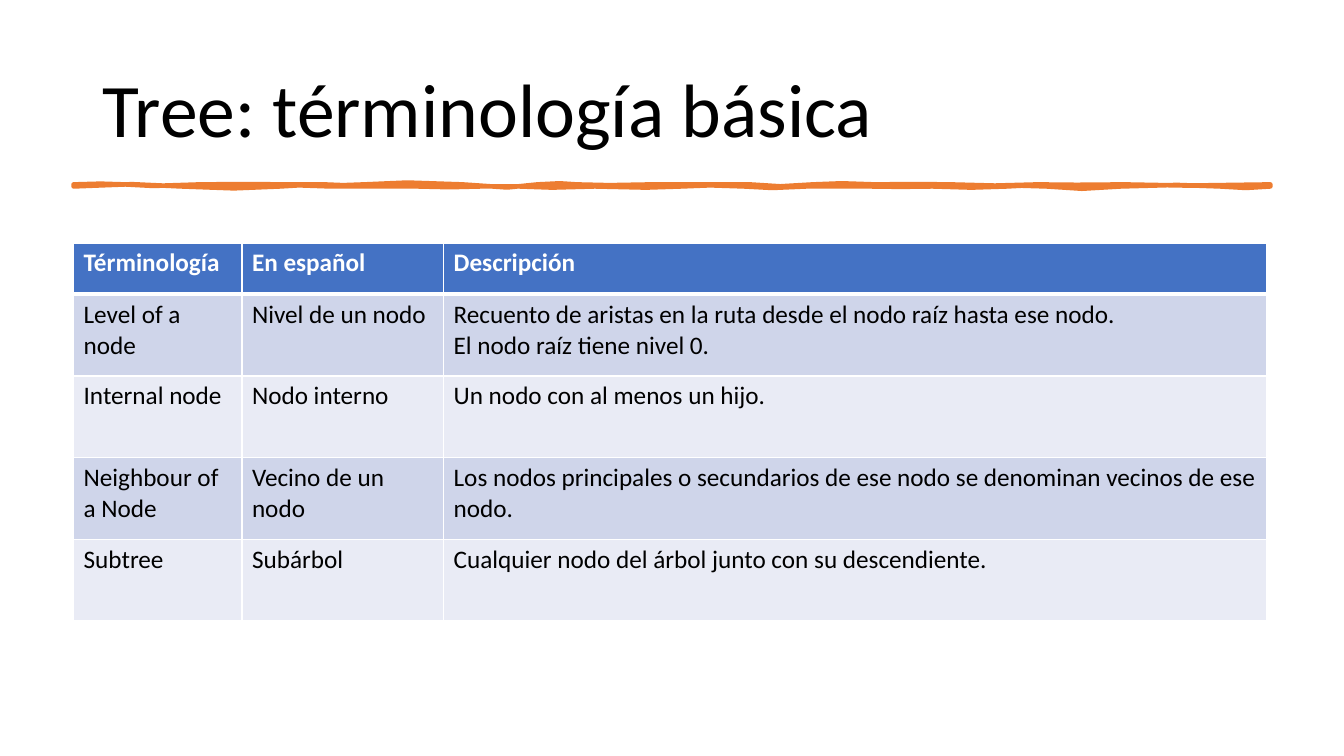
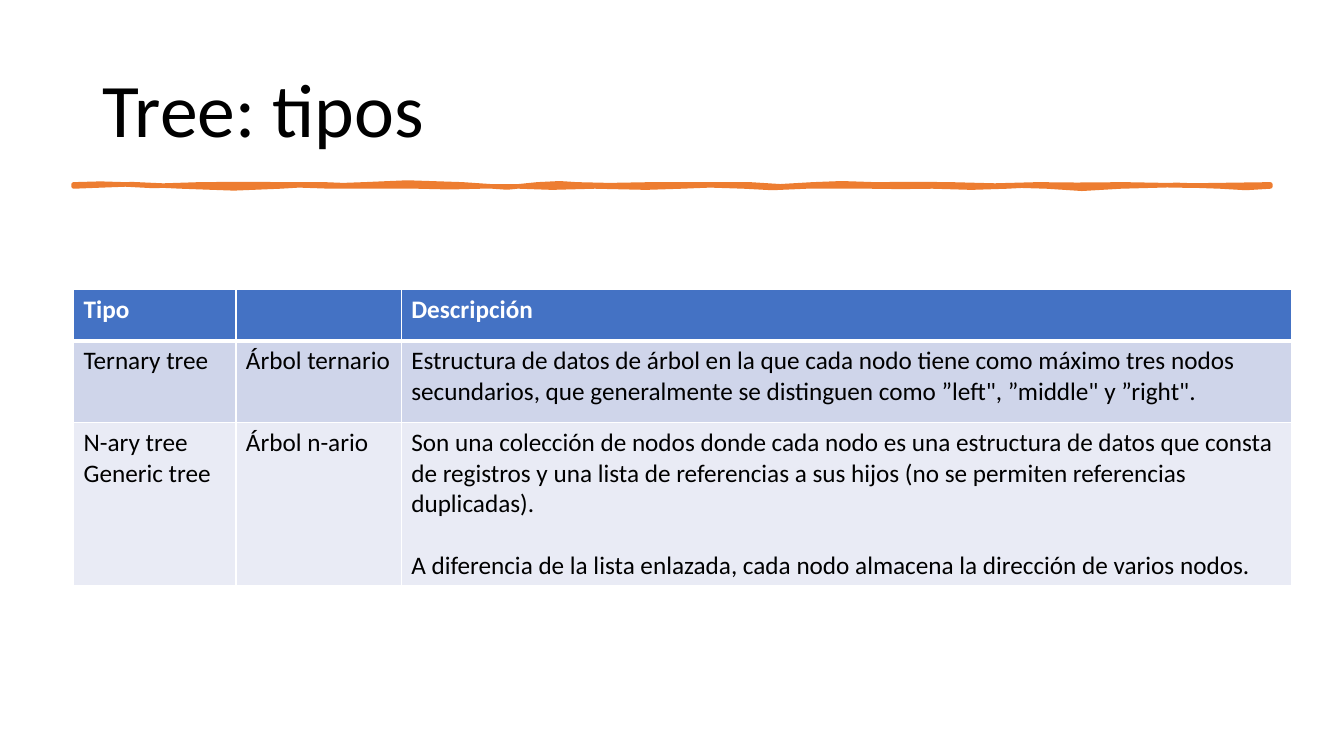
import pptx
import pptx.util
import pptx.dml.color
import pptx.enum.text
import pptx.oxml.ns
import lxml.etree

COLORS = {
    "title": "000000",
    "rule": "ED7D31",
    "header": "4472C4",
    "header_text": "FFFFFF",
    "body_text": "000000",
    "odd_row": "CFD5EA",
    "even_row": "E9EBF5",
    "border": "FFFFFF",
}
FONT = "Calibri"
TITLE_SIZE = 54
TABLE_SIZE = 18
PARAGRAPH_GAP = 22
MARGIN = 0.73
HEADER_HEIGHT = 0.51
ROW_HEIGHT = 0.81
THIN_BORDER = 1
HEADER_BORDER = 3

SLIDES = [
    {
        "title": "Tree: términología básica",
        "top": 2.41,
        "columns": [1.67, 2, 8.16],
        "row_units": [1, 1, 1, 1],
        "rows": [
            ["Términología", "En español", "Descripción"],
            ["Level of a node", "Nivel de un nodo",
             "Recuento de aristas en la ruta desde el nodo raíz hasta ese nodo.\n"
             "El nodo raíz tiene nivel 0."],
            ["Internal node", "Nodo interno", "Un nodo con al menos un hijo."],
            ["Neighbour of a Node", "Vecino de un nodo",
             "Los nodos principales o secundarios de ese nodo se denominan vecinos de ese nodo."],
            ["Subtree", "Subárbol", "Cualquier nodo del árbol junto con su descendiente."],
        ],
        "spaced": [],
    },
    {
        "title": "Tree: tipos",
        "top": 2.87,
        "columns": [1.61, 1.64, 8.83],
        "row_units": [1, 2],
        "rows": [
            ["Tipo", "", "Descripción"],
            ["Ternary tree", "Árbol ternario",
             "Estructura de datos de árbol en la que cada nodo tiene como máximo tres nodos "
             "secundarios, que generalmente se distinguen como ”left\", ”middle\" y ”right\"."],
            ["N-ary tree\nGeneric tree", "Árbol n-ario",
             "Son una colección de nodos donde cada nodo es una estructura de datos que consta "
             "de registros y una lista de referencias a sus hijos (no se permiten referencias "
             "duplicadas).\n"
             "A diferencia de la lista enlazada, cada nodo almacena la dirección de varios nodos."],
        ],
        "spaced": [(2, 2)],
    },
]

RULE_RIGHT = 12.6
UPPER_EDGE = 1.83
LOWER_EDGE = 1.85
UPPER_WAVES = [
    (0.89, 1.81, 1.11, 1.83, 1.24), (1.36, 1.84, 1.62, 1.86, 1.98),
    (2.34, 1.81, 2.51, 1.84, 2.84), (3.17, 1.83, 3.07, 1.83, 3.22),
    (3.38, 1.84, 3.42, 1.84, 3.61), (3.8, 1.82, 4.24, 1.79, 4.59),
    (4.94, 1.88, 5.17, 1.86, 5.33), (5.49, 1.81, 5.63, 1.82, 5.72),
    (5.81, 1.85, 6.25, 1.83, 6.46), (6.67, 1.84, 7.23, 1.82, 7.44),
    (7.65, 1.85, 7.82, 1.86, 8.06), (8.3, 1.81, 8.38, 1.82, 8.68),
    (8.99, 1.85, 9.14, 1.8, 9.43), (9.72, 1.87, 10.02, 1.82, 10.29),
    (10.55, 1.85, 10.78, 1.82, 11.15), (11.51, 1.85, 11.99, 1.84, RULE_RIGHT),
]
LOWER_WAVES = [
    (12.42, 1.87, 12.3, 1.87, 12.1), (11.9, 1.84, 11.49, 1.82, 11.12),
    (10.75, 1.89, 10.7, 1.87, 10.38), (10.05, 1.84, 10.18, 1.84, 9.99),
    (9.8, 1.87, 9.48, 1.86, 9.25), (9.02, 1.85, 8.84, 1.86, 8.63),
    (8.41, 1.85, 8.28, 1.85, 8), (7.73, 1.86, 7.57, 1.88, 7.38),
    (7.19, 1.83, 6.88, 1.84, 6.76), (6.63, 1.87, 6.24, 1.86, 5.9),
    (5.55, 1.85, 5.37, 1.88, 5.15), (4.94, 1.83, 4.91, 1.87, 4.77),
    (4.63, 1.84, 4.3, 1.88, 4.14), (3.99, 1.83, 3.71, 1.87, 3.28),
    (2.86, 1.83, 3.03, 1.84, 2.78), (2.53, 1.87, 2.13, 1.88, 1.8),
    (1.47, 1.82, 1.18, 1.82, MARGIN),
]


def inches(value):
    return pptx.util.Inches(value)


def color(name):
    return pptx.dml.color.RGBColor.from_string(COLORS[name])


def format_runs(para, size, color_name, bold=False):
    for run in para.runs:
        run.font.name = FONT
        run.font.size = pptx.util.Pt(size)
        run.font.bold = bold
        run.font.color.rgb = color(color_name)


def wave_points(left, edge, waves):
    points = [(left, edge)]
    for x1, y1, x2, y2, right in waves:
        middle = (left + 3 * x1 + 3 * x2 + right) / 8
        points += [(middle, (2 * edge + 3 * y1 + 3 * y2) / 8), (right, edge)]
        left = right
    return points


def add_title(page, title):
    box = page.shapes.add_textbox(inches(0.92), inches(0.4), inches(11.5), inches(1.45))
    frame = box.text_frame
    frame.word_wrap = True
    frame.vertical_anchor = pptx.enum.text.MSO_ANCHOR.MIDDLE
    frame.text = title
    para = frame.paragraphs[0]
    para.line_spacing = 0.9
    format_runs(para, TITLE_SIZE, "title")


def add_rule(page):
    outline = wave_points(MARGIN, UPPER_EDGE, UPPER_WAVES)
    outline += wave_points(RULE_RIGHT, LOWER_EDGE, LOWER_WAVES)
    corners = [(inches(x), inches(y)) for x, y in outline]
    builder = page.shapes.build_freeform(*corners[0], scale=1.0)
    builder.add_line_segments(corners[1:], close=True)
    rule = builder.convert_to_shape()
    rule.shadow.inherit = False
    rule.fill.solid()
    rule.fill.fore_color.rgb = color("rule")
    rule.line.color.rgb = color("rule")
    rule.line.width = pptx.util.Pt(3.25)
    line = rule.element.spPr.find(pptx.oxml.ns.qn("a:ln"))
    lxml.etree.SubElement(line, pptx.oxml.ns.qn("a:round"))


def add_borders(frame):
    qn = pptx.oxml.ns.qn
    for row_index, row in enumerate(frame.element.iter(qn("a:tr"))):
        widths = {
            "a:lnL": THIN_BORDER,
            "a:lnR": THIN_BORDER,
            "a:lnT": HEADER_BORDER if row_index == 1 else THIN_BORDER,
            "a:lnB": HEADER_BORDER if row_index == 0 else THIN_BORDER,
        }
        for properties in row.iter(qn("a:tcPr")):
            for position, (side, width) in enumerate(widths.items()):
                border = lxml.etree.Element(qn(side), w=str(pptx.util.Pt(width)))
                fill = lxml.etree.SubElement(border, qn("a:solidFill"))
                lxml.etree.SubElement(fill, qn("a:srgbClr"), val=COLORS["border"])
                properties.insert(position, border)


def add_terms(page, content):
    rows, columns = content["rows"], content["columns"]
    heights = [HEADER_HEIGHT] + [ROW_HEIGHT * units for units in content["row_units"]]
    frame = page.shapes.add_table(
        len(rows), len(columns), inches(MARGIN), inches(content["top"]),
        inches(sum(columns)), inches(sum(heights)))
    table = frame.table
    for column, width in zip(table.columns, columns):
        column.width = inches(width)
    for row, height in zip(table.rows, heights):
        row.height = inches(height)
    for row_index, texts in enumerate(rows):
        header = row_index == 0
        fill = "header" if header else ("odd_row" if row_index % 2 else "even_row")
        for column_index, text in enumerate(texts):
            cell = table.cell(row_index, column_index)
            cell.fill.solid()
            cell.fill.fore_color.rgb = color(fill)
            cell.text_frame.text = text
            for para in cell.text_frame.paragraphs:
                format_runs(para, TABLE_SIZE, "header_text" if header else "body_text", header)
            if (row_index, column_index) in content["spaced"]:
                para.space_before = pptx.util.Pt(PARAGRAPH_GAP)
    add_borders(frame)


def main():
    deck = pptx.Presentation()
    deck.slide_width, deck.slide_height = inches(13.33), inches(7.5)
    for content in SLIDES:
        page = deck.slides.add_slide(deck.slide_layouts[6])
        add_title(page, content["title"])
        add_rule(page)
        add_terms(page, content)
    deck.save("out.pptx")


if __name__ == "__main__":
    main()
